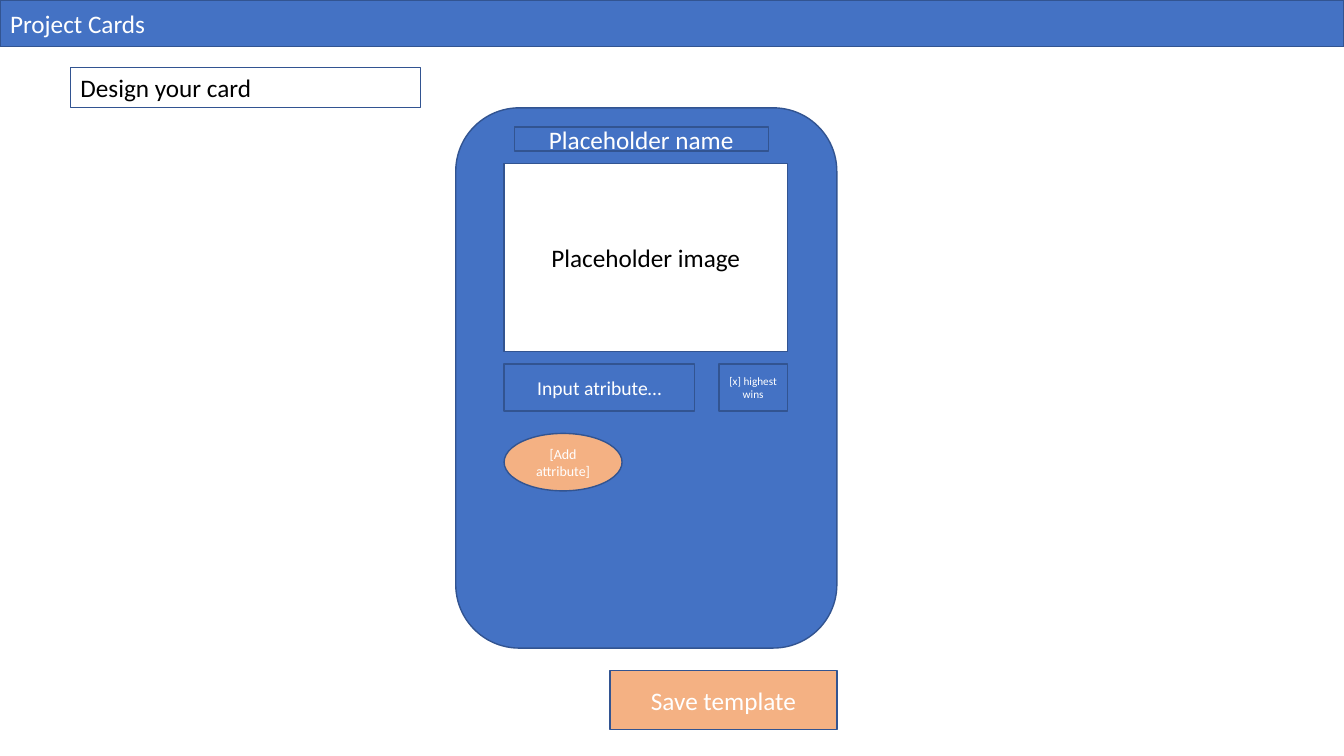
from dataclasses import dataclass

from pptx import Presentation
from pptx.dml.color import RGBColor
from pptx.enum.shapes import MSO_SHAPE
from pptx.enum.text import MSO_ANCHOR, MSO_AUTO_SIZE, PP_ALIGN
from pptx.shapes.autoshape import Shape
from pptx.slide import Slide
from pptx.util import Inches, Pt


@dataclass(frozen=True)
class Theme:
    """Colours, font and type sizes of the slide."""
    blue: RGBColor = RGBColor.from_string("4472C4")
    outline: RGBColor = RGBColor.from_string("325491")
    orange: RGBColor = RGBColor.from_string("F4B183")
    white: RGBColor = RGBColor.from_string("FFFFFF")
    black: RGBColor = RGBColor.from_string("000000")
    font: str = "Calibri"
    heading: Pt = Pt(18)
    field: Pt = Pt(14)
    action: Pt = Pt(10)
    option: Pt = Pt(8)
    border: Pt = Pt(1)


THEME = Theme()
SLIDE_WIDTH, SLIDE_HEIGHT = Inches(13.33), Inches(7.5)
CARD_LEFT, CARD_TOP, CARD_WIDTH = Inches(4.52), Inches(1.07), Inches(3.78)
CARD_RIGHT = CARD_LEFT + CARD_WIDTH
CONTENT_LEFT, CONTENT_WIDTH = Inches(5), Inches(2.81)
CONTENT_RIGHT = CONTENT_LEFT + CONTENT_WIDTH
FIELD_TOP, FIELD_HEIGHT = Inches(3.61), Inches(0.47)
OPTION_WIDTH, SAVE_WIDTH = Inches(0.68), Inches(2.25)

FRAME_FORMAT = {
    "auto_size": MSO_AUTO_SIZE.NONE,
    "word_wrap": True,
    "vertical_anchor": MSO_ANCHOR.MIDDLE,
    "margin_left": Inches(0.1),
    "margin_right": Inches(0.1),
    "margin_top": Inches(0.05),
    "margin_bottom": Inches(0.05),
}


@dataclass(frozen=True)
class Panel:
    """One outlined part of the card designer."""
    left: int
    top: int
    width: int
    height: int
    label: str = ""
    fill: RGBColor = THEME.blue
    ink: RGBColor = THEME.white
    size: int = THEME.heading
    align: PP_ALIGN = PP_ALIGN.CENTER
    outline: MSO_SHAPE = MSO_SHAPE.RECTANGLE


HEADER = Panel(0, 0, SLIDE_WIDTH, Inches(0.46), "Project Cards", align=PP_ALIGN.LEFT)

PANELS = (
    Panel(CARD_LEFT, CARD_TOP, CARD_WIDTH, Inches(5.36),
          outline=MSO_SHAPE.ROUNDED_RECTANGLE),
    Panel(CONTENT_LEFT, Inches(1.62), CONTENT_WIDTH, Inches(1.87),
          "Placeholder image", THEME.white, THEME.black),
    Panel(CONTENT_LEFT, FIELD_TOP, Inches(1.89), FIELD_HEIGHT,
          "Input atribute…", size=THEME.field),
    Panel(CONTENT_RIGHT - OPTION_WIDTH, FIELD_TOP, OPTION_WIDTH, FIELD_HEIGHT,
          "[x] highest wins", size=THEME.option),
    Panel(CONTENT_LEFT, Inches(4.3), Inches(1.17), Inches(0.57),
          "[Add attribute]", THEME.orange, size=THEME.action, outline=MSO_SHAPE.OVAL),
    Panel(CARD_RIGHT - SAVE_WIDTH, Inches(6.65), SAVE_WIDTH, Inches(0.59),
          "Save template", THEME.orange),
    Panel(Inches(0.7), Inches(0.67), Inches(3.47), Inches(0.4),
          "Design your card", THEME.white, THEME.black, align=PP_ALIGN.LEFT),
    Panel(Inches(5.1), Inches(1.26), Inches(2.52), Inches(0.24), "Placeholder name"),
)


def apply_format(target: object, values: dict) -> None:
    """Set each named format value on the target."""
    for name, value in values.items():
        setattr(target, name, value)


def format_panel(shape: Shape, panel: Panel) -> None:
    """Give a shape the fill, border and label of its panel."""
    shape.fill.solid()
    shape.fill.fore_color.rgb = panel.fill
    shape.line.color.rgb = THEME.outline
    shape.line.width = THEME.border
    if not panel.label:
        return
    apply_format(shape.text_frame, FRAME_FORMAT)
    paragraph = shape.text_frame.paragraphs[0]
    paragraph.alignment = panel.align
    run = paragraph.add_run()
    run.text = panel.label
    apply_format(run.font, {"name": THEME.font, "size": panel.size})
    run.font.color.rgb = panel.ink


def add_header(slide: Slide, header: Panel) -> None:
    """Stretch the title placeholder into the bar across the top."""
    apply_format(slide.shapes.title, {
        "left": header.left, "top": header.top,
        "width": header.width, "height": header.height,
    })
    format_panel(slide.shapes.title, header)


def add_panel(slide: Slide, panel: Panel) -> None:
    """Draw one panel without a shadow."""
    shape = slide.shapes.add_shape(
        panel.outline, panel.left, panel.top, panel.width, panel.height)
    shape.shadow.inherit = False
    format_panel(shape, panel)


def main() -> None:
    """Build the card designer slide and save it."""
    deck = Presentation()
    apply_format(deck, {"slide_width": SLIDE_WIDTH, "slide_height": SLIDE_HEIGHT})
    slide = deck.slides.add_slide(deck.slide_layouts.get_by_name("Title Only"))
    add_header(slide, HEADER)
    for panel in PANELS:
        add_panel(slide, panel)
    deck.save("out.pptx")


main()
